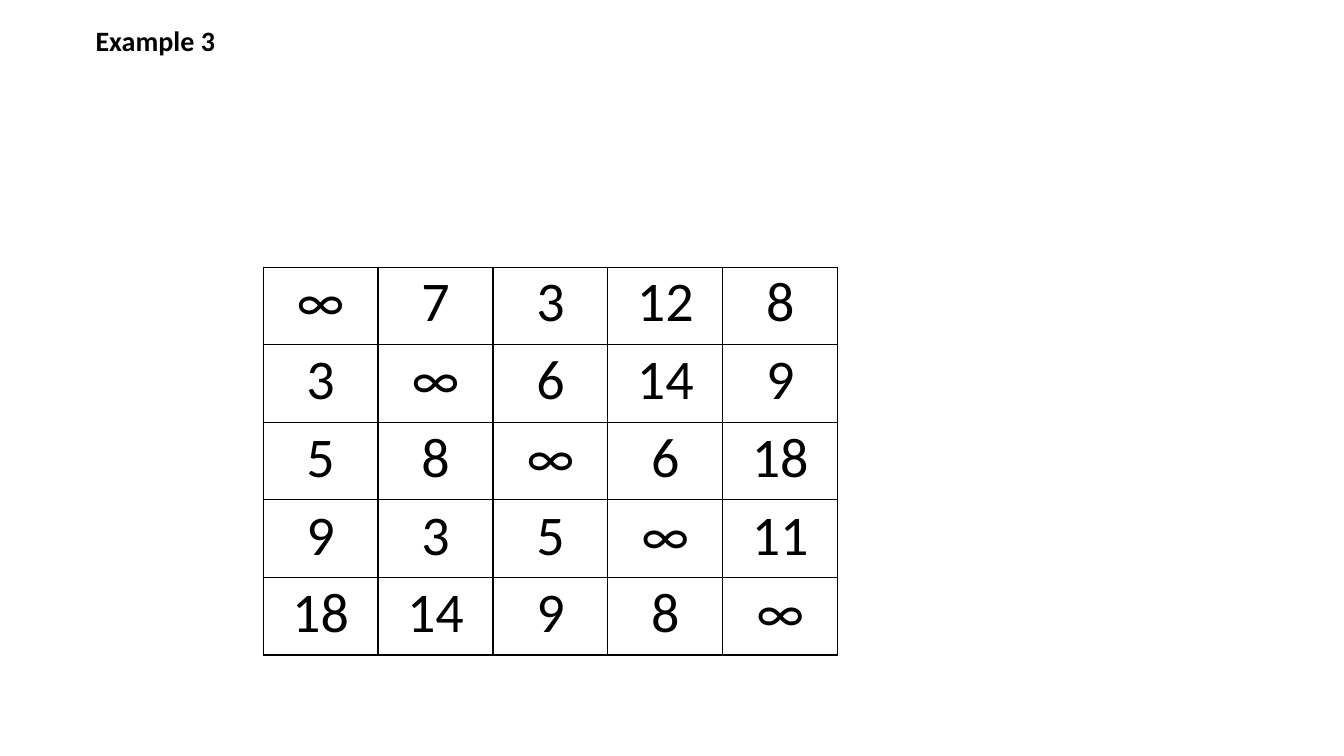
"""Build the Example 3 slide with its five by five cost matrix."""
from dataclasses import dataclass

from lxml import etree
from pptx import Presentation
from pptx.dml.color import RGBColor
from pptx.enum.text import MSO_ANCHOR, MSO_AUTO_SIZE, PP_ALIGN
from pptx.oxml.ns import qn
from pptx.util import Emu, Pt

EMU_PER_PX = 9144
FONT = "Calibri"
COLORS = {"ink": "000000", "paper": "FFFFFF"}
LEFT, CENTER = PP_ALIGN.LEFT, PP_ALIGN.CENTER
TOP = MSO_ANCHOR.TOP
GROW = MSO_AUTO_SIZE.SHAPE_TO_FIT_TEXT


@dataclass(frozen=True)
class CostMatrix:
    left: int
    top: int
    column_width: int
    row_height: int
    rows: tuple[str, ...]
    thick_rule: int


COSTS = CostMatrix(
    left=261, top=265, column_width=114, row_height=77,
    rows=("∞ 7 3 12 8", "3 ∞ 6 14 9", "5 8 ∞ 6 18", "9 3 5 ∞ 11", "18 14 9 8 ∞"),
    thick_rule=4,
)


def px(length: int) -> Emu:
    return Emu(length * EMU_PER_PX)


def write_text(frame, text: str, *, size: int, bold: bool = False,
               align=LEFT, space_before: float = 0) -> None:
    paragraph = frame.paragraphs[0]
    paragraph.alignment = align
    paragraph.space_before = Pt(space_before)
    run = paragraph.add_run()
    run.text = text
    run.font.name = FONT
    run.font.size = Pt(size)
    run.font.bold = bold
    run.font.color.rgb = RGBColor.from_string(COLORS["ink"])


def set_borders(cell, *, top: float = 1, bottom: float = 1) -> None:
    properties = cell._tc.get_or_add_tcPr()
    widths = {"a:lnL": 1, "a:lnR": 1, "a:lnT": top, "a:lnB": bottom}
    for position, (tag, width) in enumerate(widths.items()):
        line = etree.Element(qn(tag), w=str(Pt(width)))
        fill = etree.SubElement(line, qn("a:solidFill"))
        etree.SubElement(fill, qn("a:srgbClr"), val=COLORS["ink"])
        properties.insert(position, line)


def add_matrix(slide, matrix: CostMatrix) -> None:
    values = [row.split() for row in matrix.rows]
    row_count, column_count = len(values), len(values[0])
    table = slide.shapes.add_table(
        row_count, column_count, px(matrix.left), px(matrix.top),
        px(matrix.column_width * column_count), px(matrix.row_height * row_count),
    ).table
    table.first_row = False
    table.horz_banding = False
    for column in table.columns:
        column.width = px(matrix.column_width)
    for row_index, row in enumerate(values):
        table.rows[row_index].height = px(matrix.row_height)
        for column_index, value in enumerate(row):
            cell = table.cell(row_index, column_index)
            cell.margin_left = cell.margin_right = cell.margin_bottom = 0
            cell.margin_top = px(2 if row_index else 1)
            cell.vertical_anchor = TOP
            cell.fill.background()
            set_borders(
                cell,
                top=1.5 if row_index == matrix.thick_rule else 1,
                bottom=1.5 if row_index + 1 == matrix.thick_rule else 1,
            )
            write_text(cell.text_frame, value, size=40, align=CENTER, space_before=1.1)


def add_heading(slide, text: str) -> None:
    frame = slide.shapes.add_textbox(px(85), px(18), px(293), px(44)).text_frame
    frame.word_wrap = True
    frame.auto_size = GROW
    write_text(frame, text, size=20, bold=True)


def main() -> None:
    presentation = Presentation()
    presentation.slide_width, presentation.slide_height = px(1333), px(750)
    slide = presentation.slides.add_slide(presentation.slide_layouts[6])
    background = slide.background.fill
    background.solid()
    background.fore_color.rgb = RGBColor.from_string(COLORS["paper"])
    add_matrix(slide, COSTS)
    add_heading(slide, "Example 3")
    presentation.save("out.pptx")


if __name__ == "__main__":
    main()
